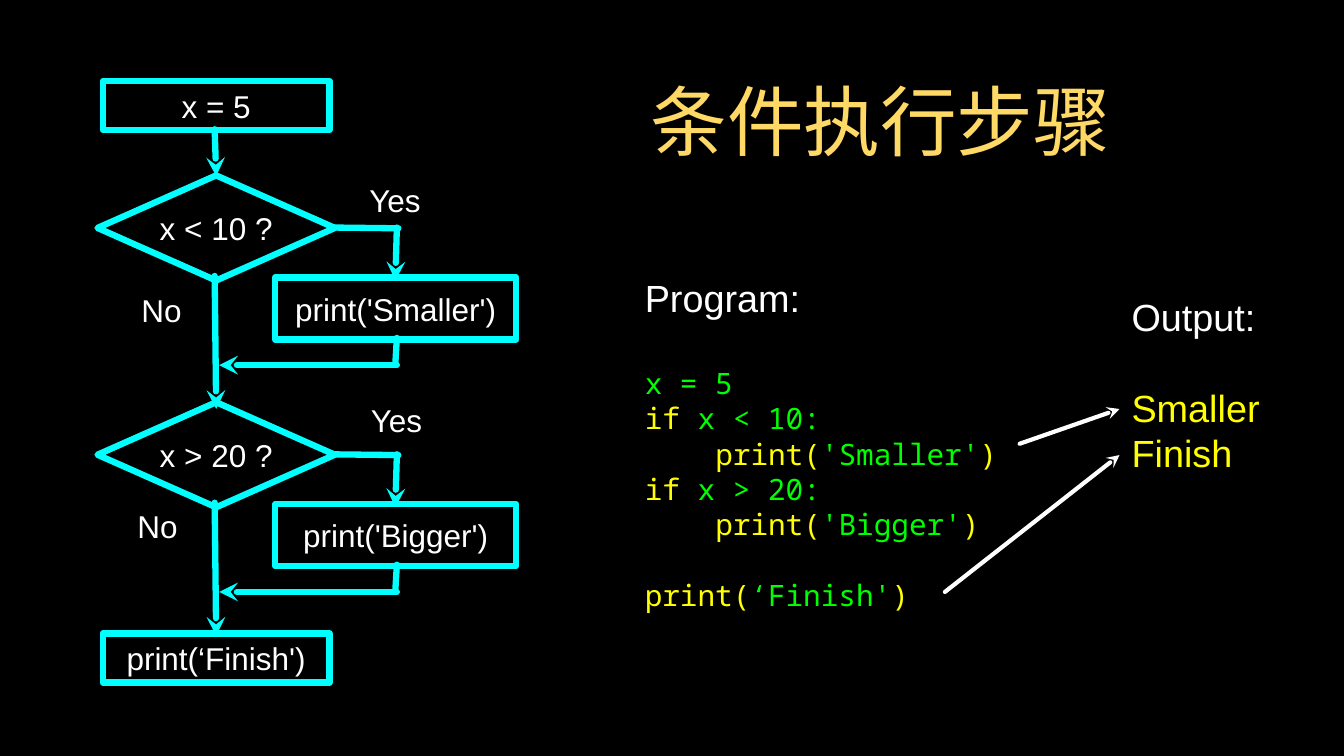
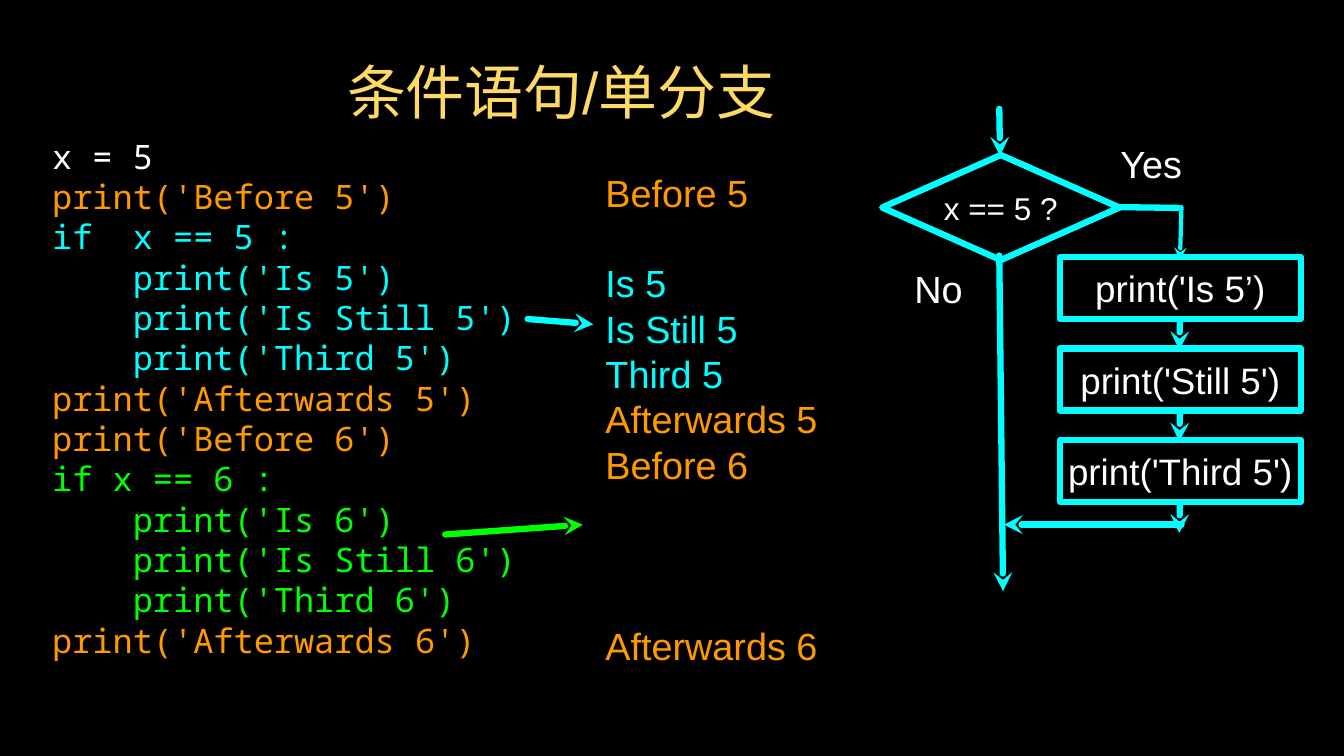
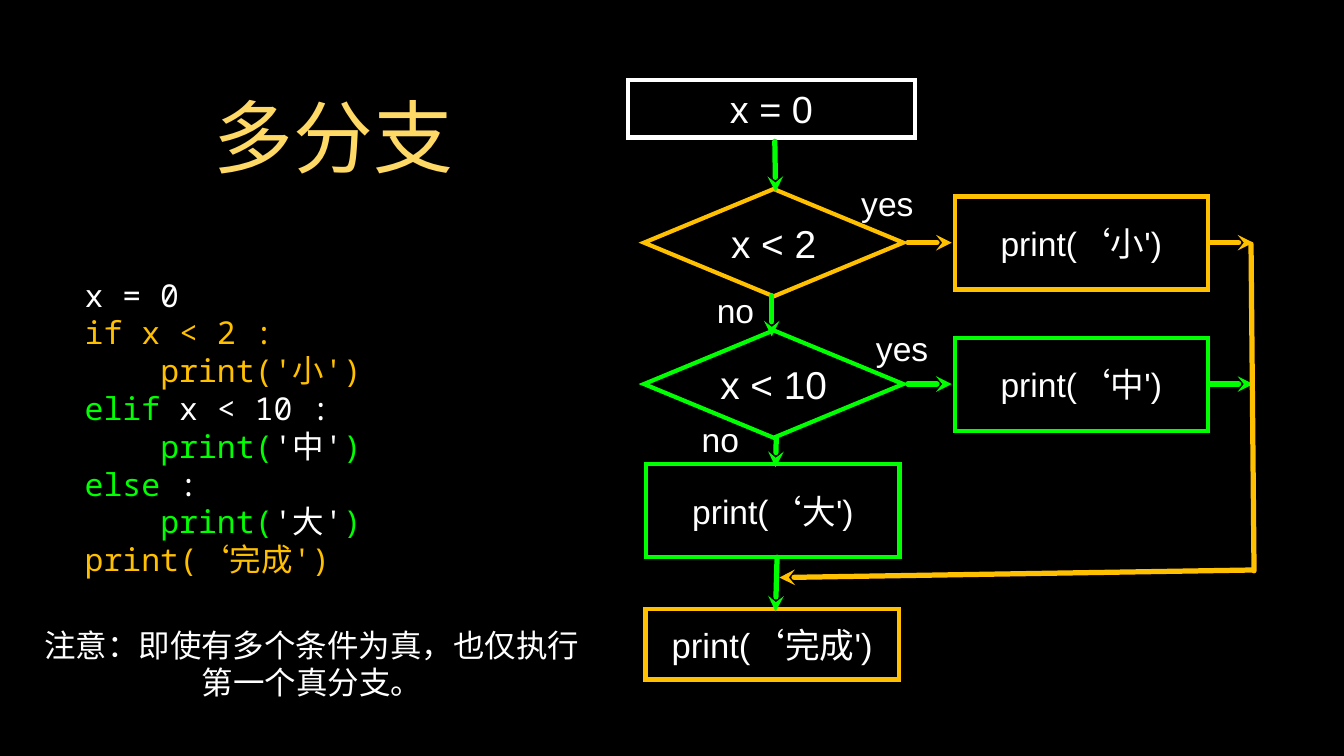
from dataclasses import dataclass

from lxml.etree import SubElement
from pptx import Presentation
from pptx.dml.color import RGBColor
from pptx.enum.shapes import MSO_CONNECTOR, MSO_SHAPE
from pptx.enum.text import MSO_ANCHOR, MSO_AUTO_SIZE, PP_ALIGN
from pptx.oxml.ns import qn
from pptx.util import Inches, Pt


@dataclass(frozen=True)
class Theme:
    black: str = "000000"
    white: str = "FFFFFF"
    cream: str = "FFD966"
    cyan: str = "00FFFF"
    green: str = "00FF00"
    yellow: str = "FFFF00"
    orange: str = "FF9900"
    gold: str = "FFC000"
    sans: str = "Arial"
    mono: str = "Noto Sans Mono"
    head: float = 36
    label: float = 30
    pitch: float = 1.2   # line height, in type sizes
    glyph: float = 0.6   # width of a mono letter, in type sizes
    bold: float = 6
    mid: float = 5
    thin: float = 4


T = Theme()


def show(arg, outer, inner, pad="    "):
    """One code row that prints arg, with the call and its argument coloured."""
    return [(pad + "print(", outer), (arg, inner), (")", outer)]


def tint(colour, *texts):
    return [[(text, colour)] if text else [] for text in texts]


class Deck:
    def __init__(self):
        self.deck = Presentation()
        self.deck.slide_width = Inches(17.78)
        self.deck.slide_height = Inches(10)
        fill = self.deck.slide_master.background.fill
        fill.solid()
        fill.fore_color.rgb = RGBColor.from_string(T.black)
        self.slide = None

    def page(self, title, area, size):
        self.slide = self.deck.slides.add_slide(self.deck.slide_layouts[5])
        shape = self.slide.shapes.title
        shape.left, shape.top, shape.width, shape.height = map(Inches, area)
        self.fit(shape.text_frame, 0.04)
        self.line(shape.text_frame, title, size, T.cream)

    def fit(self, frame, inset=0, wrap=True):
        frame.margin_left = frame.margin_right = Inches(inset)
        frame.margin_top = frame.margin_bottom = Inches(inset)
        frame.vertical_anchor = MSO_ANCHOR.MIDDLE
        frame.auto_size = MSO_AUTO_SIZE.NONE
        frame.word_wrap = wrap

    def font(self, run, size, colour, name=T.sans):
        run.font.size = Pt(size)
        run.font.name = name
        run.font.color.rgb = RGBColor.from_string(colour)

    def line(self, frame, text, size, colour=T.white):
        """Fill a frame with one centred line."""
        frame.text = text
        para = frame.paragraphs[0]
        para.alignment = PP_ALIGN.CENTER
        self.font(para.runs[0], size, colour)

    def label(self, area, text, size=T.label):
        frame = self.slide.shapes.add_textbox(*map(Inches, area)).text_frame
        self.fit(frame)
        self.line(frame, text, size)

    def block(self, area, rows, size, name=T.sans, head=None, align=PP_ALIGN.LEFT):
        """Rows of (text, colour) parts; an empty row becomes space before the next."""
        frame = self.slide.shapes.add_textbox(*map(Inches, area)).text_frame
        self.fit(frame)
        items = [(row, size, name) for row in rows]
        if head:
            items[:0] = [([(head, T.white)], T.head, T.sans), ([], T.head, T.sans)]
        para, gap = None, 0
        for row, size, name in items:
            pitch = T.pitch * size
            if not row:
                gap += pitch
                continue
            para = frame.add_paragraph() if para else frame.paragraphs[0]
            para.alignment = align
            para.line_spacing = Pt(pitch)
            para.space_before = Pt(gap)
            gap = 0
            first = row[0][0]
            pad = len(first) - len(first.lstrip())
            if pad:
                props = para._p.get_or_add_pPr()
                props.set("marL", str(Pt(pad * T.glyph * size)))
                props.set("indent", "0")
            for spot, (text, colour) in enumerate(row):
                run = para.add_run()
                run.text = text if spot else text.lstrip()
                self.font(run, size, colour, name)

    def stroke(self, line, colour, width, join):
        line.color.rgb = RGBColor.from_string(colour)
        line.width = Pt(width)
        mark = line._get_or_add_ln()
        node = SubElement(mark, qn("a:" + join))
        if join == "miter":
            node.set("lim", "800000")
        return mark

    def box(self, area, text, size=T.label, colour=T.cyan, width=T.bold,
            kind=MSO_SHAPE.RECTANGLE):
        shape = self.slide.shapes.add_shape(kind, *map(Inches, area))
        shape.shadow.inherit = False
        shape.fill.background()
        self.stroke(shape.line, colour, width, "round" if width == T.bold else "miter")
        self.fit(shape.text_frame, wrap=False)
        self.line(shape.text_frame, text, size)

    def test(self, *args, **look):
        """A diamond that asks a question."""
        self.box(*args, kind=MSO_SHAPE.DIAMOND, **look)

    def wire(self, start, end, colour=T.cyan, width=T.bold, tip=False):
        """A straight line; with tip, an arrow that points at start."""
        link = self.slide.shapes.add_connector(
            MSO_CONNECTOR.STRAIGHT, *map(Inches, (*start, *end)))
        mark = self.stroke(link.line, colour, width, "round")
        mark.set("cap", "rnd")
        if tip:
            SubElement(mark, qn("a:headEnd")).set("type", "stealth")
        SubElement(link._element.spPr, qn("a:effectLst"))

    def arrow(self, tip, start, colour=T.cyan, width=T.bold):
        self.wire(tip, start, colour, width, True)


def steps(deck):
    deck.page("条件执行步骤", (6.4, 0.84, 10.49, 1.49), 73)
    deck.block((14.97, 3.93, 1.73, 2.32), tint(T.yellow, "Smaller", "Finish"),
               T.head, head="Output:")
    code = [
        [("x = 5", T.green)],
        [("if ", T.yellow), ("x < 10:", T.green)],
        show("'Smaller'", T.yellow, T.green),
        [("if ", T.yellow), ("x > 20:", T.green)],
        show("'Bigger'", T.yellow, T.green),
        [],
        show("‘Finish'", T.yellow, T.green, ""),
    ]
    deck.block((8.53, 3.63, 4.96, 4.47), code, 28, T.mono, head="Program:")
    deck.arrow((14.81, 5.41), (13.49, 5.87), T.white, T.thin)
    deck.arrow((14.81, 6.02), (12.5, 7.83), T.white, T.thin)

    deck.box((1.36, 1.07, 3, 0.65), "x = 5")
    deck.arrow((2.86, 2.33), (2.84, 1.71))
    for row, (ask, act) in enumerate([("x < 10 ?", "print('Smaller')"),
                                      ("x > 20 ?", "print('Bigger')")]):
        y = 3 * row
        deck.test((1.29, y + 2.32, 3.14, 1.39), ask)
        deck.arrow((2.86, y + 5.41), (2.84, y + 3.65))
        deck.box((3.64, y + 3.67, 3.19, 0.82), act)
        deck.wire((5.27, y + 3.02), (4.42, y + 3.01))
        deck.arrow((5.23, y + 3.71), (5.25, y + 3.01))
        deck.wire((5.25, y + 4.47), (5.23, y + 4.81))
        deck.arrow((2.9, y + 4.83), (5.25, y + 4.83))
    deck.box((1.36, 8.38, 3, 0.65), "print(‘Finish')")
    for x, y, word in [(4.83, 2.42, "Yes"), (1.74, 3.87, "No"),
                       (4.85, 5.32, "Yes"), (1.69, 6.73, "No")]:
        deck.label((x, y, 0.79, 0.46), word)


def single(deck):
    deck.page("条件语句/单分支", (2.22, 0.62, 10.41, 1.17), 56.1)
    code = [
        *tint(T.white, "x = 5"),
        *tint(T.orange, "print('Before 5')"),
        *tint(T.cyan, "if  x == 5 :", "    print('Is 5')",
              "    print('Is Still 5')", "    print('Third 5')"),
        *tint(T.orange, "print('Afterwards 5')", "print('Before 6')"),
        *tint(T.green, "if x == 6 :", "    print('Is 6')",
              "    print('Is Still 6')", "    print('Third 6')"),
        *tint(T.orange, "print('Afterwards 6')"),
    ]
    deck.block((0.69, 1.83, 6.25, 6.86), code, 32, T.mono)
    result = [
        *tint(T.orange, "Before 5", ""),
        *tint(T.cyan, "Is 5", "Is Still 5", "Third 5"),
        *tint(T.orange, "Afterwards 5", "Before 6", "", "", "", "Afterwards 6"),
    ]
    deck.block((8.01, 2.34, 3.09, 6.4), result, T.head)
    deck.arrow((7.85, 4.29), (6.98, 4.22))
    deck.arrow((7.71, 6.94), (5.89, 7.07), T.green)

    deck.arrow((13.23, 2.06), (13.22, 1.44))
    deck.test((11.67, 2.05, 3.14, 1.39), "x == 5 ?")
    deck.arrow((13.27, 7.82), (13.22, 3.38))
    deck.wire((15.59, 2.75), (14.8, 2.74))
    deck.arrow((15.61, 3.44), (15.63, 2.74), width=T.thin)
    for row, act in enumerate(["print('Is 5’)", "print('Still 5')", "print('Third 5')"]):
        y = 3.4 + 1.21 * row
        deck.box((14.02, y, 3.19, 0.82), act, 35)
        deck.arrow((15.6, y + 1.23), (15.61, y + 0.83))
    deck.arrow((13.28, 6.94), (15.63, 6.94))
    deck.label((14.62, 1.88, 1.22, 0.57), "Yes", T.head)
    deck.label((12.02, 3.53, 0.79, 0.57), "No", T.head)


def multi(deck):
    deck.page("多分支", (1.26, 0.82, 6.3, 1.96), 76)
    code = [
        *tint(T.white, "x = 0"),
        *tint(T.gold, "if x < 2 :", "    print('小')"),
        [("elif", T.green), (" x < 10 :", T.white)],
        show("'中'", T.green, T.white),
        [("else", T.green), (" :", T.white)],
        show("'大'", T.green, T.white),
        *tint(T.gold, "print(‘完成')"),
    ]
    deck.block((1.12, 3.48, 5.58, 4.33), code, 30, T.mono)
    note = tint(T.white, "注意：即使有多个条件为真，也仅执行", "第一个真分支。")
    deck.block((-0.36, 8.19, 8.97, 1.17), note, T.label, align=PP_ALIGN.CENTER)

    deck.box((8.31, 1.06, 3.79, 0.76), "x = 0", T.head, T.white, T.thin)
    for row, (ask, act, colour) in enumerate([("x < 2", "print(‘小')", T.gold),
                                              ("x < 10", "print(‘中')", T.green)]):
        y = 2.5 + 1.87 * row
        mid = y + 0.71
        deck.test((8.52, y, 3.43, 1.42), ask, 37, colour=colour, width=T.thin)
        deck.box((12.63, y + 0.1, 3.35, 1.23), act, 32, colour, T.thin)
        deck.arrow((12.59, mid), (12.01, mid), colour, T.mid)
        deck.arrow((16.58, mid), (16, mid), colour, T.mid)
    deck.box((8.55, 6.14, 3.35, 1.23), "print(‘大')", 32, T.green, T.thin)
    deck.box((8.54, 8.06, 3.35, 0.93), "print(‘完成')", 33, T.gold, T.thin)
    for tip, start in [((10.26, 2.54), (10.25, 1.87)), ((10.21, 4.45), (10.21, 3.91)),
                       ((10.26, 6.18), (10.27, 5.79)), ((10.26, 8.09), (10.28, 7.37))]:
        deck.arrow(tip, start, T.green, T.mid)
    deck.wire((16.59, 7.55), (16.55, 3.23), T.gold, T.mid)
    deck.arrow((10.31, 7.64), (16.57, 7.54), T.gold, T.mid)
    for x, y, wide, word in [(11.36, 2.43, 0.76, "yes"), (9.47, 3.85, 0.52, "no"),
                             (11.51, 4.36, 0.85, "yes"), (9.27, 5.56, 0.52, "no")]:
        deck.label((x, y, wide, 0.5), word, 32)


def main():
    deck = Deck()
    steps(deck)
    single(deck)
    multi(deck)
    deck.deck.save("out.pptx")


if __name__ == "__main__":
    main()
